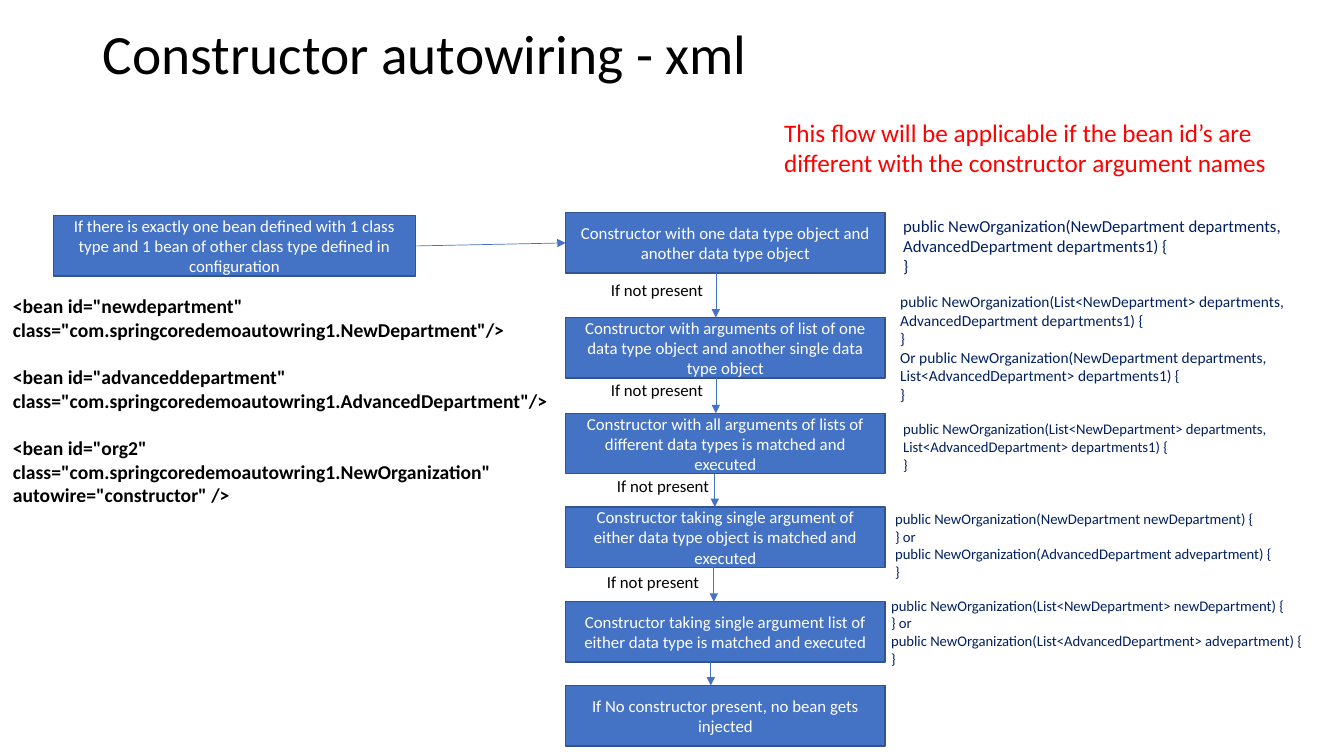
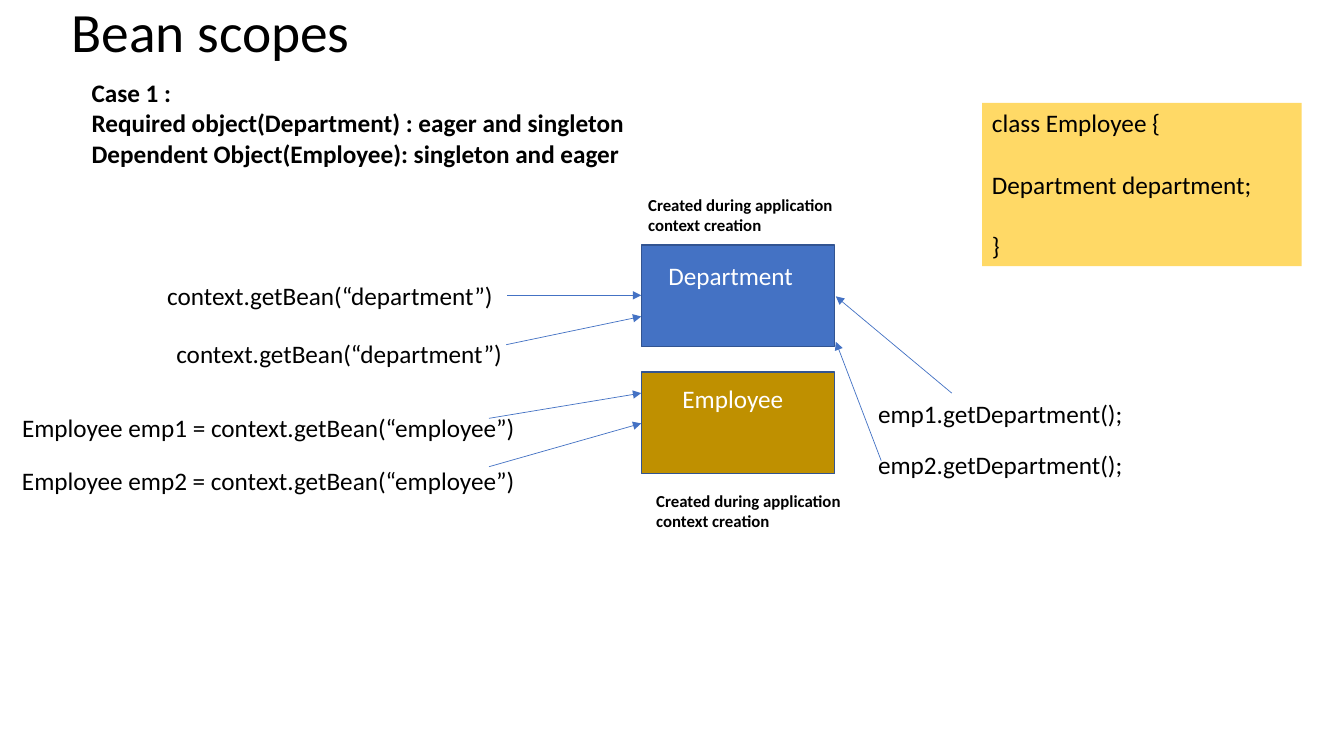
from dataclasses import dataclass
from typing import Any

from lxml.etree import SubElement
from pptx import Presentation
from pptx.dml.color import RGBColor
from pptx.enum.shapes import MSO_CONNECTOR, MSO_SHAPE
from pptx.enum.text import MSO_ANCHOR, MSO_AUTO_SIZE, PP_ALIGN
from pptx.oxml.ns import qn
from pptx.slide import Slide
from pptx.util import Inches, Pt


@dataclass(frozen=True)
class Theme:
    font: str = "Calibri"
    black: str = "000000"
    white: str = "FFFFFF"
    blue: str = "4472C4"
    edge: str = "325491"
    navy: str = "002060"
    red: str = "FF0000"
    gold: str = "BF9000"
    sand: str = "FFD966"
    title: float = 39.6
    large: float = 18
    bean: float = 14
    small: float = 12
    code: float = 11
    tiny: float = 10.5
    line: float = 1.22


THEME = Theme()


@dataclass(frozen=True)
class Rect:
    left: float
    top: float
    width: float
    height: float


@dataclass(frozen=True)
class Label:
    area: Rect
    text: str
    size: float = THEME.large
    color: str = THEME.black
    bold: bool = False
    gaps: bool = False
    fill: str = ""


@dataclass(frozen=True)
class Box:
    area: Rect
    text: str = ""
    fill: str = THEME.blue


@dataclass(frozen=True)
class Arrow:
    x1: float
    y1: float
    x2: float
    y2: float


@dataclass(frozen=True)
class Step:
    top: float
    text: str


@dataclass(frozen=True)
class Link:
    x: float
    left: float = 0
    top: float = 0


def assign(target: Any, values: dict[str, Any]) -> None:
    for name, value in values.items():
        setattr(target, name, value)


def place(area: Rect) -> list[int]:
    return [Inches(n) for n in (area.left, area.top, area.width, area.height)]


def paint(fill: Any, color: str) -> None:
    fill.solid()
    fill.fore_color.rgb = RGBColor.from_string(color)


def write(frame: Any, text: str, size: float, color: str, bold: bool = False,
          gaps: bool = False, **format: Any) -> None:
    frame.text = text
    style = {"name": THEME.font, "size": Pt(size), "bold": bold}
    for index, para in enumerate(frame.paragraphs):
        assign(para, format)
        if gaps and index:
            para.space_before = Pt(round(size * THEME.line))
        for run in para.runs:
            assign(run.font, style)
            run.font.color.rgb = RGBColor.from_string(color)


def add_title(slide: Slide, text: str, area: Rect) -> None:
    title = slide.shapes.title
    assign(title, dict(zip(("left", "top", "width", "height"), place(area))))
    frame = title.text_frame
    assign(frame, {"auto_size": MSO_AUTO_SIZE.NONE, "word_wrap": True,
                   "vertical_anchor": MSO_ANCHOR.MIDDLE})
    write(frame, text, THEME.title, THEME.black,
          alignment=PP_ALIGN.LEFT, line_spacing=0.9)


def add_label(slide: Slide, label: Label) -> None:
    shape = slide.shapes.add_textbox(*place(label.area))
    if label.fill:
        paint(shape.fill, label.fill)
    frame = shape.text_frame
    assign(frame, {"word_wrap": True, "auto_size": MSO_AUTO_SIZE.SHAPE_TO_FIT_TEXT})
    write(frame, label.text, label.size, label.color, label.bold, label.gaps)


def add_box(slide: Slide, box: Box) -> None:
    shape = slide.shapes.add_shape(MSO_SHAPE.RECTANGLE, *place(box.area))
    shape.shadow.inherit = False
    paint(shape.fill, box.fill)
    paint(shape.line.fill, THEME.edge)
    shape.line.width = Pt(1)
    if box.text:
        frame = shape.text_frame
        assign(frame, {"word_wrap": True, "vertical_anchor": MSO_ANCHOR.MIDDLE})
        write(frame, box.text, THEME.small, THEME.white, alignment=PP_ALIGN.CENTER)


def add_arrow(slide: Slide, arrow: Arrow) -> None:
    ends = [Inches(n) for n in (arrow.x1, arrow.y1, arrow.x2, arrow.y2)]
    line = slide.shapes.add_connector(MSO_CONNECTOR.STRAIGHT, *ends)
    paint(line.line.fill, THEME.blue)
    line.line.width = Pt(0.5)
    SubElement(line.line._get_or_add_ln(), qn("a:tailEnd"), type="triangle")
    SubElement(line._element.spPr, qn("a:effectLst"))


DRAW = {Label: add_label, Box: add_box, Arrow: add_arrow}


def add_slide(deck: Any, title: str, area: Rect, parts: list[Any]) -> None:
    slide = deck.slides.add_slide(deck.slide_layouts[5])
    add_title(slide, title, area)
    for part in parts:
        DRAW[type(part)](slide, part)


STEPS = [
    Step(2.11, "Constructor with one data type object and another data type object"),
    Step(3.15, "Constructor with arguments of list of one data type object "
               "and another single data type object"),
    Step(4.1, "Constructor with all arguments of lists of different data types "
              "is matched and executed"),
    Step(5.03, "Constructor taking single argument of either data type object "
               "is matched and executed"),
    Step(5.97, "Constructor taking single argument list of either data type "
               "is matched and executed"),
    Step(6.8, "If No constructor present, no bean gets injected"),
]

LINKS = [Link(7.1, 5.96, 2.73), Link(7.1, 5.96, 3.72), Link(7.09, 6.02, 4.67),
         Link(7.08, 5.92, 5.62), Link(7.05)]

BEANS = """<bean id="newdepartment" class="com.springcoredemoautowring1.NewDepartment"/>
<bean id="advanceddepartment" class="com.springcoredemoautowring1.AdvancedDepartment"/>
<bean id="org2" class="com.springcoredemoautowring1.NewOrganization" autowire="constructor" />"""

CODES = [
    (8.86, 2.09, 0.71, THEME.small,
     "public NewOrganization(NewDepartment departments, "
     "AdvancedDepartment departments1) {\n}"),
    (8.83, 2.85, 1.4, THEME.code,
     "public NewOrganization(List<NewDepartment> departments, "
     "AdvancedDepartment departments1) {\n}\n"
     "Or public NewOrganization(NewDepartment departments, "
     "List<AdvancedDepartment> departments1) {\n}"),
    (8.86, 4.12, 0.78, THEME.tiny,
     "public NewOrganization(List<NewDepartment> departments, "
     "List<AdvancedDepartment> departments1) {\n}"),
    (8.78, 5.01, 1.14, THEME.tiny,
     "public NewOrganization(NewDepartment newDepartment) {\n} or\n"
     "public NewOrganization(AdvancedDepartment advepartment) {\n}"),
    (8.74, 5.87, 1.14, THEME.tiny,
     "public NewOrganization(List<NewDepartment> newDepartment) {\n} or\n"
     "public NewOrganization(List<AdvancedDepartment> advepartment) {\n}"),
]


def wire_parts() -> list[Any]:
    high = 0.6
    parts: list[Any] = [
        Box(Rect(0.53, 2.14, 3.59, high),
            "If there is exactly one bean defined with 1 class type and "
            "1 bean of other class type defined in configuration"),
        Label(Rect(0.03, 2.87, 5.64, 2.22), BEANS, THEME.bean, bold=True, gaps=True),
        Label(Rect(7.68, 1.11, 5.6, 0.71),
              "This flow will be applicable if the bean id’s are different "
              "with the constructor argument names", color=THEME.red),
        Arrow(4.13, 2.44, 5.61, 2.41),
    ]
    parts += [Box(Rect(5.61, step.top, 3.17, high), step.text) for step in STEPS]
    parts += [Label(Rect(left, top, 4.47, tall), text, size, THEME.navy)
              for left, top, tall, size, text in CODES]
    for link, step, after in zip(LINKS, STEPS, STEPS[1:]):
        parts.append(Arrow(link.x, step.top + high, link.x, after.top))
        if link.left:
            parts.append(Label(Rect(link.left, link.top, 1.49, 0.3),
                               "If not present", THEME.small))
    return parts


def scope_parts() -> list[Any]:
    calls = [
        (1.56, 2.73, 4.55, "context.getBean(“department”)"),
        (1.65, 3.31, 4.55, "context.getBean(“department”)"),
        (0.12, 4.04, 5.61, "Employee emp1 = context.getBean(“employee”)"),
        (0.12, 4.57, 6.2, "Employee emp2 = context.getBean(“employee”)"),
        (8.61, 3.9, 2.71, "emp1.getDepartment();"),
        (8.61, 4.41, 2.71, "emp2.getDepartment();"),
    ]
    beans = [(2.43, THEME.blue, "Department", 6.53, 2.53),
             (3.69, THEME.gold, "Employee", 6.67, 3.75)]
    parts: list[Any] = [
        Label(Rect(0.81, 0.72, 6.89, 1.01),
              "Case 1 :\nRequired object(Department) : eager and singleton\n"
              "Dependent Object(Employee): singleton and eager", bold=True),
        Label(Rect(9.74, 1.02, 3.17, 1.62),
              "class Employee {\nDepartment department;\n}",
              gaps=True, fill=THEME.sand),
    ]
    for top, fill, name, left, head in beans:
        parts += [Box(Rect(6.36, top, 1.92, 1.01), fill=fill),
                  Label(Rect(left, head, 2.08, 0.4), name, color=THEME.white)]
    parts += [Label(Rect(left, top, width, 0.4), text)
              for left, top, width, text in calls]
    parts += [Label(Rect(left, top, 2.32, 0.5),
                    "Created during application context creation",
                    THEME.small, bold=True)
              for left, top in ((6.33, 1.88), (6.41, 4.82))]
    parts += [Arrow(x, start, 6.36, end) for x, start, end in
              ((5.03, 2.93, 2.93), (5.02, 3.42, 3.14),
               (4.85, 4.15, 3.9), (4.85, 4.63, 4.2))]
    parts += [Arrow(x, start, 8.29, end) for x, start, end in
              ((9.44, 3.9, 2.94), (8.74, 4.57, 3.39))]
    return parts


def main() -> None:
    deck = Presentation()
    assign(deck, {"slide_width": Inches(13.33), "slide_height": Inches(7.5)})
    add_slide(deck, "Constructor autowiring - xml",
              Rect(0.92, 0.4, 11.5, 0.32), wire_parts())
    add_slide(deck, "Bean scopes", Rect(0.61, 0.17, 11.5, 0.34), scope_parts())
    deck.save("out.pptx")


if __name__ == "__main__":
    main()
